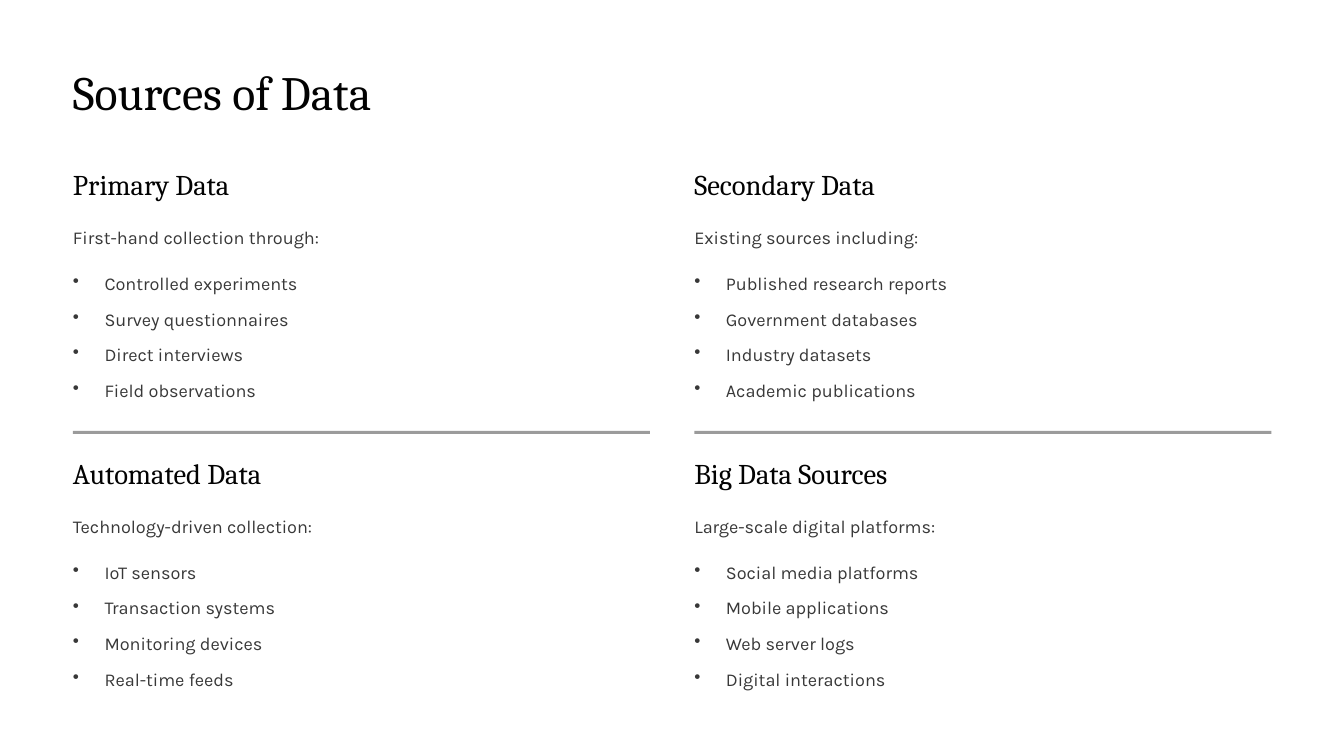
import pptx
import pptx.dml.color
import pptx.enum.shapes
import pptx.oxml
import pptx.oxml.ns
import pptx.util
from dataclasses import dataclass

Pt = pptx.util.Pt


@dataclass(frozen=True)
class Theme:
    paper: str = "FFFFFF"
    heading: str = "020202"
    body: str = "383838"
    heading_font: str = "Cambria"
    body_font: str = "Karla"
    title_size: float = 41
    heading_size: float = 24.5
    body_size: float = 15.5
    title_line: float = 51
    heading_line: float = 30.5
    body_line: float = 25
    bullet_gap: float = 5.45
    bullet_indent: float = 27
    rule_opacity: int = 50


THEME = Theme()

PANELS = [
    ("Primary Data", "First-hand collection through:",
     ["Controlled experiments", "Survey questionnaires",
      "Direct interviews", "Field observations"]),
    ("Secondary Data", "Existing sources including:",
     ["Published research reports", "Government databases",
      "Industry datasets", "Academic publications"]),
    ("Automated Data", "Technology-driven collection:",
     ["IoT sensors", "Transaction systems",
      "Monitoring devices", "Real-time feeds"]),
    ("Big Data Sources", "Large-scale digital platforms:",
     ["Social media platforms", "Mobile applications",
      "Web server logs", "Digital interactions"]),
]


def color(value):
    return pptx.dml.color.RGBColor.from_string(value)


def add_bullet(para):
    properties = para._p.get_or_add_pPr()
    indent = Pt(THEME.bullet_indent)
    properties.set("marL", str(indent))
    properties.set("indent", str(-indent))
    bullet = pptx.oxml.parse_xml(
        f'<a:buChar {pptx.oxml.ns.nsdecls("a")} char="•"/>')
    properties.append(bullet)


def add_text(page, box, lines, font, size, line, ink, bullets=False):
    left, top, width, height = box
    shape = page.shapes.add_textbox(Pt(left), Pt(top), Pt(width), Pt(height))
    frame = shape.text_frame
    frame.word_wrap = True
    frame.margin_left = frame.margin_right = 0
    frame.margin_top = frame.margin_bottom = 0
    frame.text = "\n".join(lines)
    for index, para in enumerate(frame.paragraphs):
        para.line_spacing = Pt(line)
        if index:
            para.space_before = Pt(THEME.bullet_gap)
        if bullets:
            add_bullet(para)
        for span in para.runs:
            span.font.name = font
            span.font.size = Pt(size)
            span.font.color.rgb = color(ink)


def add_title(page, box, text):
    add_text(page, box, [text], THEME.heading_font, THEME.title_size,
             THEME.title_line, THEME.heading)


def add_panel(page, box, heading, intro, items):
    left, top, width, height = box
    # Heading
    add_text(page, (left, top, width, 31), [heading], THEME.heading_font,
             THEME.heading_size, THEME.heading_line, THEME.heading)
    # Introduction and bulleted list
    body = (THEME.body_font, THEME.body_size, THEME.body_line, THEME.body)
    add_text(page, (left, top + 46.1, width, 25), [intro], *body)
    list_top = top + 85.5
    add_text(page, (left, list_top, width, top + height - list_top),
             items, *body, bullets=True)


def add_rule(page, box):
    rule = page.shapes.add_shape(
        pptx.enum.shapes.MSO_SHAPE.RECTANGLE, *[Pt(value) for value in box])
    rule.shadow.inherit = False
    rule.line.fill.background()
    rule.fill.solid()
    rule.fill.fore_color.rgb = color(THEME.body)
    tint = rule._element.spPr.find(".//" + pptx.oxml.ns.qn("a:srgbClr"))
    tint.append(pptx.oxml.parse_xml(
        f'<a:alpha {pptx.oxml.ns.nsdecls("a")} '
        f'val="{THEME.rule_opacity * 1000}"/>'))


def add_panel_grid(page, box):
    left, top, width, height = box
    column_gap, row_gap = 38, 45.5
    panel_width = (width - column_gap) / 2
    panel_height = (height - row_gap) / 2
    for index, (heading, intro, items) in enumerate(PANELS):
        row, column = divmod(index, 2)
        panel_left = left + column * (panel_width + column_gap)
        panel_top = top + row * (panel_height + row_gap)
        add_panel(page, (panel_left, panel_top, panel_width, panel_height),
                  heading, intro, items)
        # Divider below the upper row
        if row == 0:
            add_rule(page, (panel_left, panel_top + panel_height + 25.5,
                            panel_width, 2.7))


def main():
    deck = pptx.Presentation()
    deck.slide_width, deck.slide_height = Pt(1152), Pt(648)
    page = deck.slides.add_slide(deck.slide_layouts[6])
    page.background.fill.solid()
    page.background.fill.fore_color.rgb = color(THEME.paper)
    add_title(page, (62.6, 51.8, 410, 51), "Sources of Data")
    add_panel_grid(page, (62.6, 141.8, 1027.2, 449.5))
    deck.save("out.pptx")


if __name__ == "__main__":
    main()
